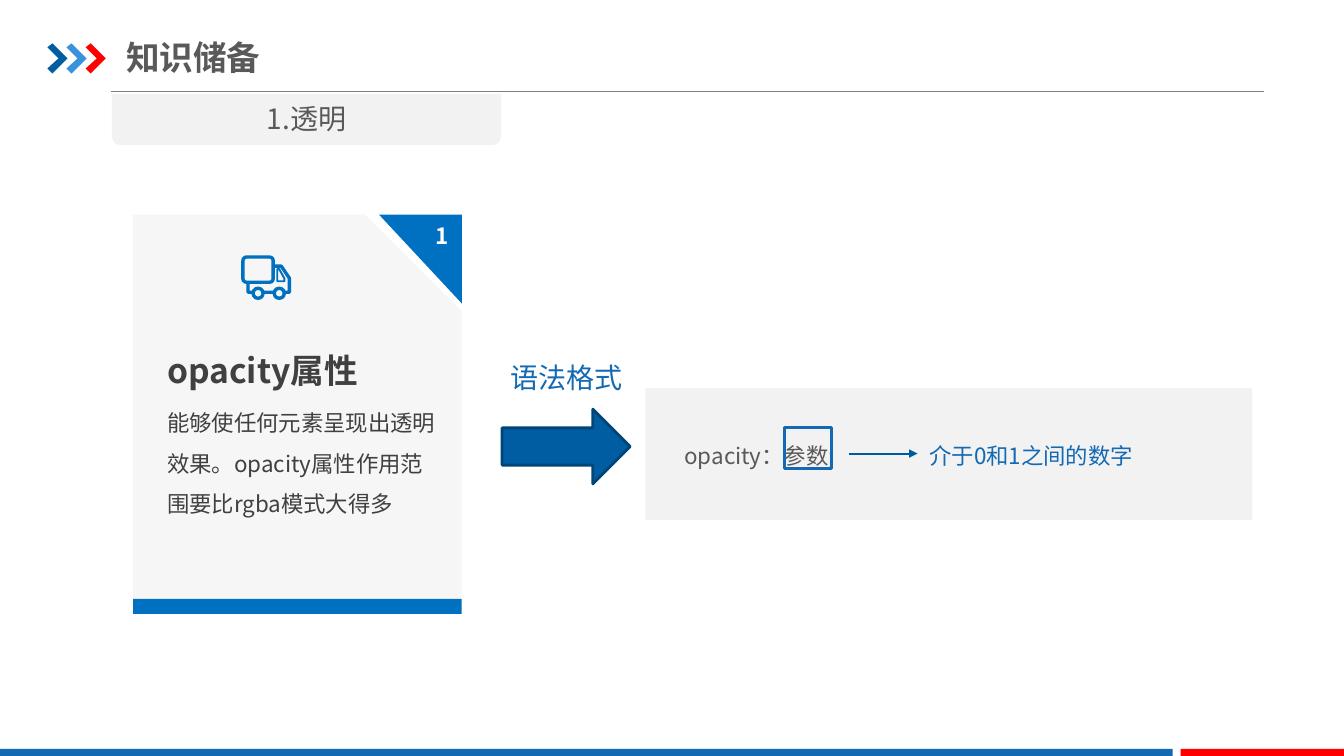
from lxml.etree import SubElement
from pptx import Presentation
from pptx.dml.color import RGBColor
from pptx.enum.shapes import MSO_CONNECTOR, MSO_SHAPE
from pptx.enum.text import MSO_ANCHOR, PP_ALIGN
from pptx.oxml.ns import qn
from pptx.util import Inches, Pt

FONT = "Noto Sans CJK SC"
DARK_BLUE = RGBColor(0x00, 0x5D, 0xA2)
LIGHT_BLUE = RGBColor(0x39, 0x92, 0xDB)
CARD_BLUE = RGBColor(0x00, 0x70, 0xC0)
TEXT_BLUE = RGBColor(0x13, 0x69, 0xB2)
EDGE_BLUE = RGBColor(0x00, 0x45, 0x78)
POINTER_BLUE = RGBColor(0x00, 0x5B, 0x9E)
RED = RGBColor(0xFF, 0x00, 0x00)
WHITE = RGBColor(0xFF, 0xFF, 0xFF)
RULE_GRAY = RGBColor(0x80, 0x80, 0x80)
TITLE_GRAY = RGBColor(0x59, 0x59, 0x59)
BODY_GRAY = RGBColor(0x40, 0x40, 0x40)
PANEL_GRAY = RGBColor(0xF2, 0xF2, 0xF2)
CARD_GRAY = RGBColor(0xF6, 0xF6, 0xF6)


def paint(shape, fill=None, line=None, line_width=2):
    """Give a shape a flat fill and outline; None means empty."""
    shape.shadow.inherit = False
    if fill is None:
        shape.fill.background()
    else:
        shape.fill.solid()
        shape.fill.fore_color.rgb = fill
    if line is None:
        shape.line.fill.background()
    else:
        shape.line.color.rgb = line
        shape.line.width = Pt(line_width)
    return shape


def add_block(slide, kind, left, top, width, height, **colors):
    shape = slide.shapes.add_shape(
        kind, Inches(left), Inches(top), Inches(width), Inches(height))
    return paint(shape, **colors)


def add_outline(slide, points, close=True, **colors):
    start, *rest = [(Inches(x), Inches(y)) for x, y in points]
    builder = slide.shapes.build_freeform(*start)
    builder.add_line_segments(rest, close=close)
    return paint(builder.convert_to_shape(), **colors)


def write(shape, text, size, color, bold=False, align=PP_ALIGN.LEFT, spacing=1.0):
    frame = shape.text_frame
    frame.text = text
    frame.word_wrap = True
    paragraph = frame.paragraphs[0]
    paragraph.alignment = align
    paragraph.line_spacing = spacing
    for run in paragraph.runs:
        run.font.size = Pt(size)
        run.font.bold = bold
        run.font.color.rgb = color
        run.font.name = FONT
        SubElement(run.font._element, qn("a:ea")).set("typeface", FONT)


def add_label(slide, left, top, width, height, text, size, color, **style):
    box = slide.shapes.add_textbox(
        Inches(left), Inches(top), Inches(width), Inches(height))
    write(box, text, size, color, **style)


def add_line(slide, start_x, end_x, y, color, line_width, arrow=False):
    line = slide.shapes.add_connector(
        MSO_CONNECTOR.STRAIGHT, Inches(start_x), Inches(y), Inches(end_x), Inches(y))
    line.line.color.rgb = color
    line.line.width = Pt(line_width)
    properties = line._element.spPr
    if arrow:
        SubElement(properties.find(qn("a:ln")), qn("a:tailEnd")).set("type", "triangle")
    SubElement(properties, qn("a:effectLst"))


def add_frame(slide):
    # Header rule, chevrons and footer bars
    add_line(slide, 1.1, 12.54, 0.91, RULE_GRAY, 0.75)
    chevron = [(0, 0.04), (0.05, 0), (0.2, 0.15), (0.05, 0.3), (0, 0.25), (0.11, 0.15)]
    for index, color in enumerate((DARK_BLUE, LIGHT_BLUE, RED)):
        left = 0.47 + 0.19 * index
        add_outline(slide, [(left + x, 0.43 + y) for x, y in chevron], fill=color)
    add_block(slide, MSO_SHAPE.RECTANGLE, 0, 7.43, 11.63, 0.09, fill=TEXT_BLUE)
    add_block(slide, MSO_SHAPE.RECTANGLE, 11.71, 7.43, 1.63, 0.09, fill=RED)


def add_heading(slide):
    # Slide title
    title = slide.shapes.title
    title.left, title.top = Inches(1.25), Inches(0.29)
    title.width, title.height = Inches(4.26), Inches(0.55)
    frame = title.text_frame
    frame.margin_left = frame.margin_right = 0
    frame.vertical_anchor = MSO_ANCHOR.MIDDLE
    write(title, "知识储备", 24, TITLE_GRAY, bold=True)
    # Section tab hanging from the rule
    tab = add_block(slide, MSO_SHAPE.ROUND_2_SAME_RECTANGLE,
                    1.11, 0.93, 3.86, 0.51, fill=PANEL_GRAY)
    tab.rotation = 180
    add_label(slide, 1.11, 0.96, 3.86, 0.44, "1.透明", 20, TITLE_GRAY,
              align=PP_ALIGN.CENTER)


def add_truck(slide):
    stroke = {"line": CARD_BLUE, "line_width": 2.4}
    # Cab and chassis, window, cargo box, wheels
    add_outline(slide, [(2.71, 2.64), (2.79, 2.64), (2.87, 2.76), (2.87, 2.9),
                        (2.46, 2.9), (2.46, 2.8)], close=False, **stroke)
    add_outline(slide, [(2.75, 2.67), (2.77, 2.67), (2.82, 2.76), (2.82, 2.79),
                        (2.75, 2.79)], line=CARD_BLUE, line_width=1.4)
    cargo = add_block(slide, MSO_SHAPE.ROUNDED_RECTANGLE, 2.41, 2.55, 0.3, 0.25, **stroke)
    cargo.adjustments[0] = 0.14
    for left in (2.51, 2.72):
        add_block(slide, MSO_SHAPE.OVAL, left, 2.86, 0.1, 0.1, fill=CARD_GRAY, **stroke)


def add_card(slide):
    # Card with a cut corner and a base strip
    card = add_block(slide, MSO_SHAPE.SNIP_1_RECTANGLE, 1.32, 2.13, 3.26, 3.89,
                     fill=CARD_GRAY)
    card.adjustments[0] = 0.294
    add_block(slide, MSO_SHAPE.RECTANGLE, 1.32, 5.94, 3.26, 0.15, fill=CARD_BLUE)
    # Numbered corner
    corner = add_outline(slide, [(4.58, 2.13), (3.76, 2.13), (4.58, 3.01)], fill=CARD_BLUE)
    frame = corner.text_frame
    frame.margin_left = frame.margin_right = Inches(0.13)
    frame.margin_top = frame.margin_bottom = Inches(0.07)
    frame.vertical_anchor = MSO_ANCHOR.TOP
    write(corner, "1", 16, WHITE, bold=True, align=PP_ALIGN.RIGHT)
    # Card text
    add_label(slide, 1.56, 3.88, 2.89, 1.31,
              "能够使任何元素呈现出透明效果。opacity属性作用范围要比rgba模式大得多",
              16, BODY_GRAY, spacing=1.5)
    add_label(slide, 1.56, 3.22, 2.4, 0.64, "opacity属性", 24, BODY_GRAY,
              bold=True, spacing=1.5)
    add_truck(slide)


def add_syntax(slide):
    # Arrow from the card to the syntax panel
    add_block(slide, MSO_SHAPE.RIGHT_ARROW, 4.98, 4.06, 1.27, 0.74,
              fill=DARK_BLUE, line=EDGE_BLUE)
    add_label(slide, 4.69, 3.53, 1.85, 0.44, "语法格式", 20, TEXT_BLUE,
              align=PP_ALIGN.CENTER)
    # Syntax panel with the parameter boxed and explained
    add_block(slide, MSO_SHAPE.RECTANGLE, 6.4, 3.85, 6.02, 1.31, fill=PANEL_GRAY)
    add_label(slide, 6.69, 4.2, 1.9, 0.46, "opacity：参数;", 16, TITLE_GRAY, spacing=1.5)
    add_label(slide, 9.12, 4.2, 2.26, 0.46, "介于0和1之间的数字", 16, TEXT_BLUE, spacing=1.5)
    add_block(slide, MSO_SHAPE.RECTANGLE, 7.78, 4.24, 0.47, 0.41, line=TEXT_BLUE)
    add_line(slide, 8.42, 9.1, 4.5, POINTER_BLUE, 1.5, arrow=True)


def main():
    presentation = Presentation()
    presentation.slide_width = Inches(13.33)
    presentation.slide_height = Inches(7.5)
    slide = presentation.slides.add_slide(presentation.slide_layouts[5])
    add_frame(slide)
    add_heading(slide)
    add_card(slide)
    add_syntax(slide)
    presentation.save("out.pptx")


if __name__ == "__main__":
    main()
